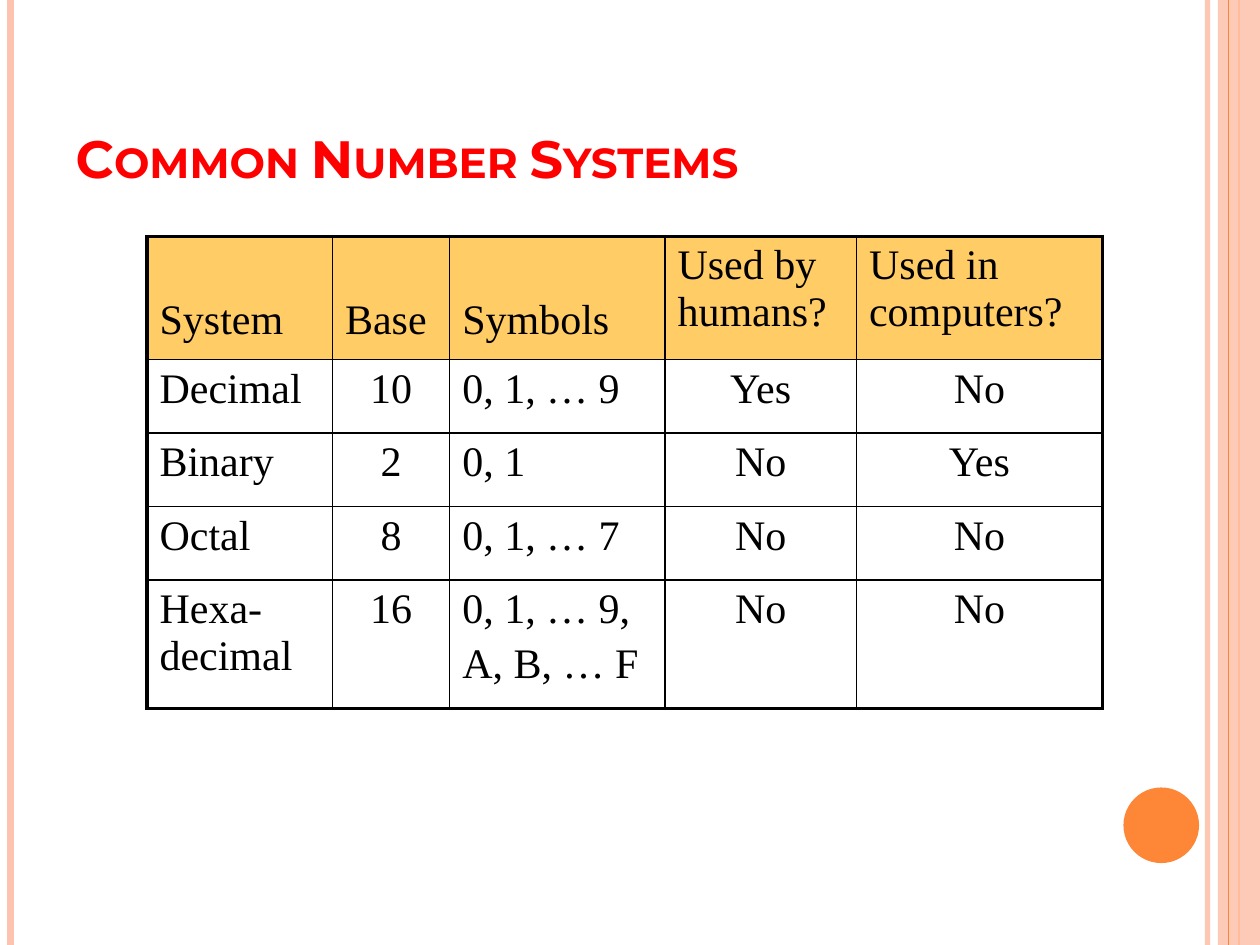
import pptx
import pptx.util
import pptx.dml.color
import pptx.enum.shapes
import pptx.enum.text
import pptx.oxml
import pptx.oxml.ns
from lxml import etree

Pt = pptx.util.Pt
ALIGN = pptx.enum.text.PP_ALIGN
ANCHOR = pptx.enum.text.MSO_ANCHOR
WIDTH, HEIGHT = 720, 540
ORANGE, PEACH, GOLD, BLACK, RED = "FE8637", "FEC3AE", "FFCC66", "000000", "FF0000"

# left, width, colour, opacity in percent
STRIPES = [
    (690, 3, PEACH, 93),
    (6, 4.5, PEACH, 100),
    (708, 1.5, ORANGE, 100),
    (702, 0.75, ORANGE, 100),
]
COLUMN_WIDTHS = [106, 67, 123, 109.5, 140.5]
ROW_HEIGHTS = [70.5, 42, 42, 42, 73.5]
CENTERED_COLUMNS = {1, 3, 4}
# Each cell is a list of paragraphs
ROWS = [
    [["System"], ["Base"], ["Symbols"], ["Used by humans?"], ["Used in computers?"]],
    [["Decimal"], ["10"], ["0, 1, … 9"], ["Yes"], ["No"]],
    [["Binary"], ["2"], ["0, 1"], ["No"], ["Yes"]],
    [["Octal"], ["8"], ["0, 1, … 7"], ["No"], ["No"]],
    [["Hexa-\ndecimal"], ["16"], ["0, 1, … 9,", "A, B, … F"], ["No"], ["No"]],
]


def rgb(value):
    return pptx.dml.color.RGBColor.from_string(value)


def set_opacity(shape, percent):
    for color in shape._element.spPr.iter(pptx.oxml.ns.qn("a:srgbClr")):
        alpha = etree.SubElement(color, pptx.oxml.ns.qn("a:alpha"))
        alpha.set("val", str(percent * 1000))


def add_stripe(slide, left, width, color, opacity):
    line = slide.shapes.add_connector(
        pptx.enum.shapes.MSO_CONNECTOR.STRAIGHT, Pt(left), Pt(0), Pt(left), Pt(HEIGHT))
    line.line.color.rgb = rgb(color)
    line.line.width = Pt(width)
    if opacity < 100:
        set_opacity(line, opacity)
    etree.SubElement(line._element.spPr, pptx.oxml.ns.qn("a:effectLst"))


def add_solid(slide, kind, left, top, width, height, color):
    shape = slide.shapes.add_shape(kind, Pt(left), Pt(top), Pt(width), Pt(height))
    shape.shadow.inherit = False
    shape.fill.solid()
    shape.fill.fore_color.rgb = rgb(color)
    shape.line.fill.background()
    return shape


def add_decoration(slide):
    kinds = pptx.enum.shapes.MSO_SHAPE
    for stripe in STRIPES[:3]:
        add_stripe(slide, *stripe)
    band = add_solid(slide, kinds.RECTANGLE, 696, 0, WIDTH - 696, HEIGHT, PEACH)
    set_opacity(band, 87)
    add_stripe(slide, *STRIPES[3])
    add_solid(slide, kinds.OVAL, 642, 450, 43.2, 43.2, ORANGE)


def place_title(slide, left, top, width, height):
    title = slide.shapes.title
    title.left, title.top, title.width, title.height = map(Pt, (left, top, width, height))
    frame = title.text_frame
    frame.word_wrap = True
    frame.auto_size = pptx.enum.text.MSO_AUTO_SIZE.NONE
    frame.vertical_anchor = ANCHOR.BOTTOM
    paragraph = frame.paragraphs[0]
    paragraph.alignment = ALIGN.LEFT
    run = paragraph.add_run()
    run.text = "Common Number Systems"
    run.font.name = "Montserrat"
    run.font.size = Pt(30)
    run.font.bold = True
    run.font.color.rgb = rgb(RED)
    run.font._element.set("cap", "small")


def set_borders(cell, widths):
    """Draw black borders; widths maps each side (L, R, T, B) to points."""
    properties = cell._tc.get_or_add_tcPr()
    for side in "LRTB":
        properties.append(pptx.oxml.parse_xml(
            f'<a:ln{side} {pptx.oxml.ns.nsdecls("a")} w="{int(Pt(widths[side]))}">'
            f'<a:solidFill><a:srgbClr val="{BLACK}"/></a:solidFill></a:ln{side}>'))


def fill_cell(cell, texts, alignment):
    frame = cell.text_frame
    for index, text in enumerate(texts):
        paragraph = frame.add_paragraph() if index else frame.paragraphs[0]
        paragraph.alignment = alignment
        if index:
            paragraph.space_before = Pt(4.8)
        for line_index, line in enumerate(text.split("\n")):
            if line_index:
                paragraph.add_line_break()
            run = paragraph.add_run()
            run.text = line
            run.font.name = "Times New Roman"
            run.font.size = Pt(24)
            run.font.color.rgb = rgb(BLACK)


def add_number_table(slide, left, top):
    frame = slide.shapes.add_table(
        len(ROWS), len(COLUMN_WIDTHS), Pt(left), Pt(top),
        Pt(sum(COLUMN_WIDTHS)), Pt(sum(ROW_HEIGHTS)))
    table = frame.table
    table.first_row = table.horz_banding = False
    for column, width in zip(table.columns, COLUMN_WIDTHS):
        column.width = Pt(width)
    for row, height in zip(table.rows, ROW_HEIGHTS):
        row.height = Pt(height)

    last_row, last_column = len(ROWS) - 1, len(COLUMN_WIDTHS) - 1
    for row_index, row in enumerate(ROWS):
        for column_index, texts in enumerate(row):
            cell = table.cell(row_index, column_index)
            is_header = row_index == 0
            outer = {"L": column_index == 0, "R": column_index == last_column,
                     "T": is_header, "B": row_index == last_row}
            set_borders(cell, {side: 2.25 if edge else 1 for side, edge in outer.items()})
            centered = not is_header and column_index in CENTERED_COLUMNS
            fill_cell(cell, texts, ALIGN.CENTER if centered else ALIGN.LEFT)
            if is_header:
                cell.fill.solid()
                cell.fill.fore_color.rgb = rgb(GOLD)
            else:
                cell.fill.background()
            if is_header and column_index < 3:
                cell.vertical_anchor = ANCHOR.BOTTOM
                cell.margin_bottom = Pt(9)


def main():
    presentation = pptx.Presentation()
    presentation.slide_width, presentation.slide_height = Pt(WIDTH), Pt(HEIGHT)
    slide = presentation.slides.add_slide(presentation.slide_layouts[5])
    slide.background.fill.solid()
    slide.background.fill.fore_color.rgb = rgb("FFFFFF")
    add_decoration(slide)
    place_title(slide, 36, 21.6, 588, 90)
    add_number_table(slide, 84, 135)
    presentation.save("out.pptx")


if __name__ == "__main__":
    main()
